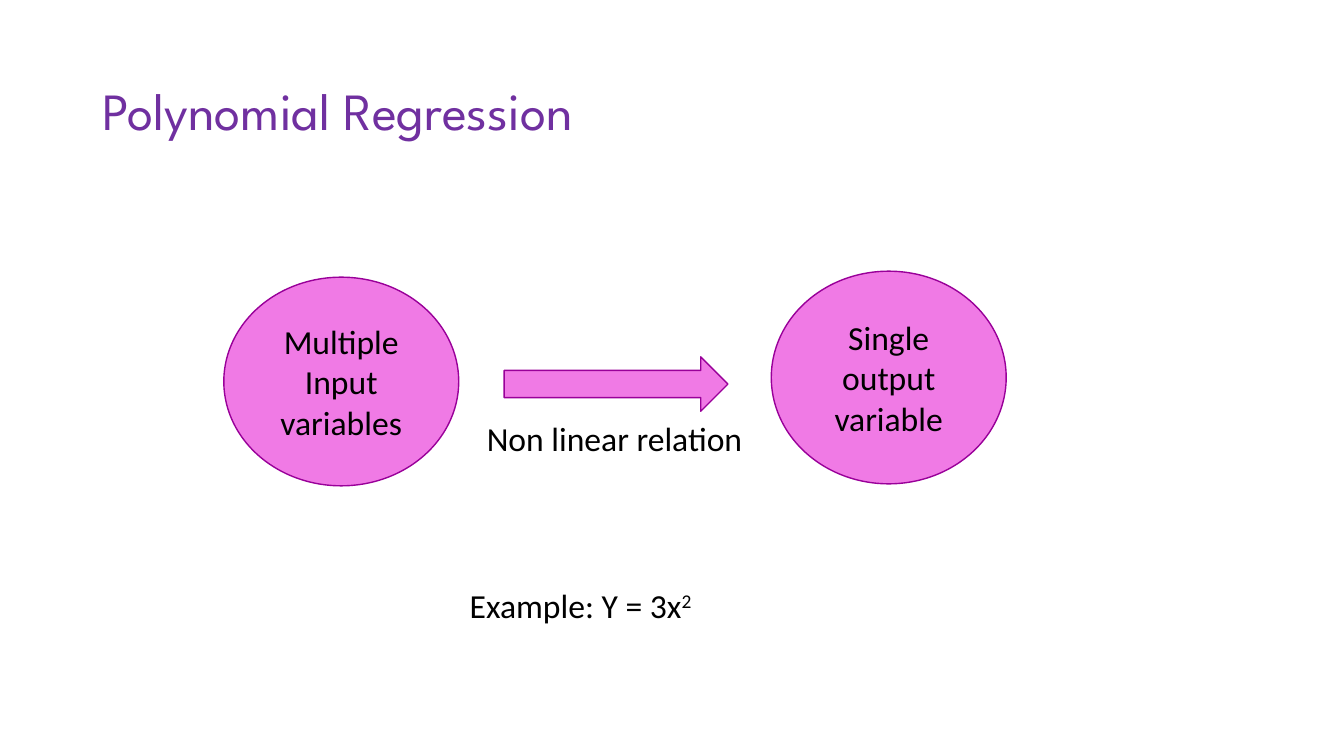
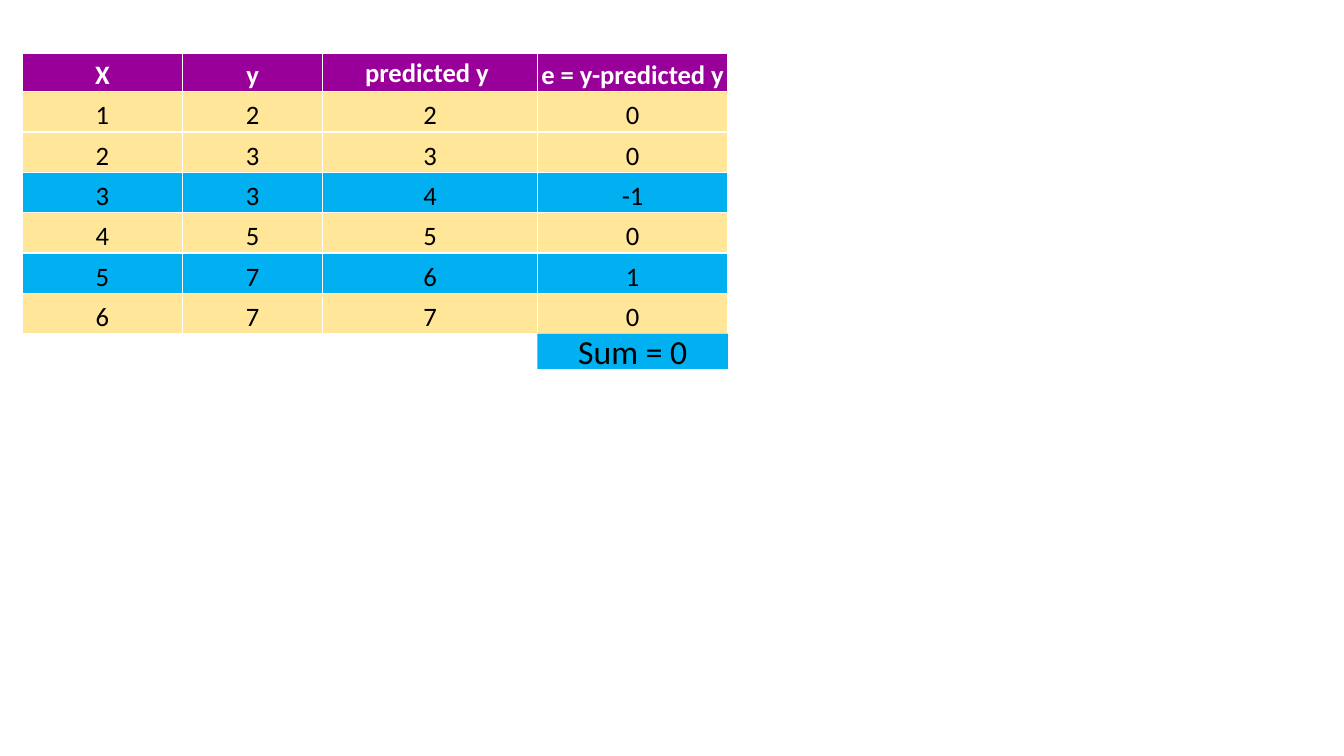
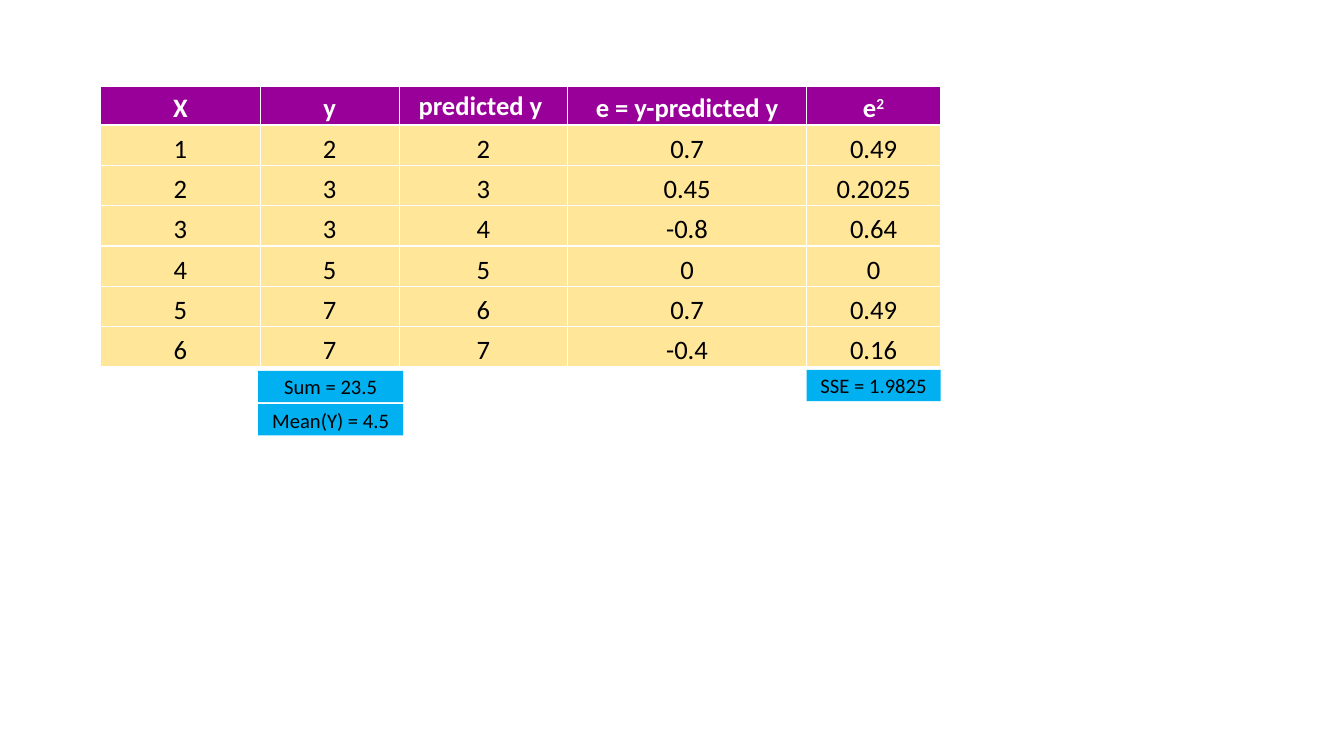
"""Build three slides on polynomial regression and its error tables."""
from lxml import etree
from pptx import Presentation
from pptx.dml.color import RGBColor
from pptx.enum.shapes import MSO_SHAPE
from pptx.enum.text import MSO_ANCHOR, PP_ALIGN
from pptx.oxml.ns import qn
from pptx.util import Pt

PX = 9144
SLIDE_SIZE = (1333, 750)

OVAL, ARROW, RECTANGLE = MSO_SHAPE.OVAL, MSO_SHAPE.RIGHT_ARROW, MSO_SHAPE.RECTANGLE
LEFT, CENTER = PP_ALIGN.LEFT, PP_ALIGN.CENTER
TOP, MIDDLE, BOTTOM = MSO_ANCHOR.TOP, MSO_ANCHOR.MIDDLE, MSO_ANCHOR.BOTTOM

BLACK = RGBColor(0x00, 0x00, 0x00)
WHITE = RGBColor(0xFF, 0xFF, 0xFF)
VIOLET = RGBColor(0x70, 0x30, 0xA0)
PURPLE = RGBColor(0x99, 0x00, 0x99)
PINK = RGBColor(0xF0, 0x7A, 0xE5)
CREAM = RGBColor(0xFF, 0xE6, 0x99)
BLUE = RGBColor(0x00, 0xB0, 0xF0)

TITLE = {"name": "League Spartan", "size": Pt(37.3), "color": VIOLET}
BODY = {"name": "Calibri", "size": Pt(24), "color": BLACK}
SMALL = {**BODY, "size": Pt(14.7)}
CELL = {**BODY, "size": Pt(19), "bold": False}
HEADER = {**CELL, "color": WHITE, "bold": True}

HEADER_HEIGHT, ROW_HEIGHT = 38, 40

DIAGRAM_TITLE = ("Polynomial Regression", (92, 40, 1150, 145))
DIAGRAM_SHAPES = [
    (OVAL, (222, 275, 233, 207), "Multiple Input variables"),
    (ARROW, (500, 354, 222, 54), ""),
    (OVAL, (765, 269, 233, 211), "Single output variable"),
]
DIAGRAM_NOTES = [
    ("Example: Y = 3x^2", (456, 575, 322, 50)),
    ("Non linear relation", (473, 410, 287, 50)),
]

ERROR_TABLES = [
    {
        "origin": (22, 53),
        "widths": [159, 139, 213, 189],
        "rows": [
            ["X", "y", "predicted y ", "e = y-predicted y"],
            ["1", "2", "2", "0"],
            ["2", "3", "3", "0"],
            ["3", "3", "4", "-1"],
            ["4", "5", "5", "0"],
            ["5", "7", "6", "1"],
            ["6", "7", "7", "0"],
        ],
        "highlights": (3, 5),
        "totals": [("Sum = 0", (533, 331, 189, 35), BODY)],
    },
    {
        "origin": (100, 86),
        "widths": [158, 138, 167, 237, 133],
        "rows": [
            ["X", "y", "predicted y ", "e = y-predicted y", "e^2"],
            ["1", "2", "2", "0.7", "0.49"],
            ["2", "3", "3", "0.45", "0.2025"],
            ["3", "3", "4", "-0.8", "0.64"],
            ["4", "5", "5", "0", "0"],
            ["5", "7", "6", "0.7", "0.49"],
            ["6", "7", "7", "-0.4", "0.16"],
        ],
        "highlights": (),
        "totals": [
            ("SSE = 1.9825", (800, 367, 133, 31), SMALL),
            ("Mean(Y) = 4.5", (256, 401, 144, 31), SMALL),
            ("Sum = 23.5", (256, 368, 144, 31), SMALL),
        ],
    },
]


def emu(lengths):
    return [length * PX for length in lengths]


def write(frame, text, style, align=LEFT):
    """Write one paragraph; a caret starts and ends a superscript."""
    para = frame.paragraphs[0]
    para.alignment = align
    for index, part in enumerate(text.split("^")):
        span = para.add_run()
        span.text = part
        for name, value in style.items():
            if name == "color":
                span.font.color.rgb = value
            else:
                setattr(span.font, name, value)
        if index % 2:
            span._r.get_or_add_rPr().set("baseline", "30000")
    return para


def add_text(page, text, place, style, anchor=TOP):
    frame = page.shapes.add_textbox(*emu(place)).text_frame
    frame.word_wrap = True
    frame.vertical_anchor = anchor
    return write(frame, text, style)


def add_box(page, kind, place, text, style, fill, line=None):
    box = page.shapes.add_shape(kind, *emu(place))
    box.shadow.inherit = False
    box.fill.solid()
    box.fill.fore_color.rgb = fill
    if line is None:
        box.line.fill.background()
    else:
        box.line.color.rgb = line
        box.line.width = Pt(1)
    if text:
        box.text_frame.word_wrap = True
        box.text_frame.vertical_anchor = MIDDLE
        write(box.text_frame, text, style, CENTER)


def add_borders(cell):
    properties = cell._tc.get_or_add_tcPr()
    for side in ("a:lnL", "a:lnR", "a:lnT", "a:lnB"):
        border = etree.SubElement(properties, qn(side), w=str(Pt(1)))
        fill = etree.SubElement(border, qn("a:solidFill"))
        etree.SubElement(fill, qn("a:srgbClr"), val=str(WHITE))


def add_error_table(page, origin, widths, rows, highlights):
    heights = [HEADER_HEIGHT] + [ROW_HEIGHT] * (len(rows) - 1)
    place = (*origin, sum(widths), sum(heights))
    table = page.shapes.add_table(len(rows), len(widths), *emu(place)).table
    table.first_row = table.horz_banding = False
    for column, width in zip(table.columns, emu(widths)):
        column.width = width
    for row_index, (row, height) in enumerate(zip(rows, emu(heights))):
        table.rows[row_index].height = height
        style = CELL if row_index else HEADER
        fill = CREAM if row_index else PURPLE
        if row_index in highlights:
            fill = BLUE
        for column_index, text in enumerate(row):
            cell = table.cell(row_index, column_index)
            cell.margin_left = cell.margin_right = cell.margin_top = PX
            cell.margin_bottom = 0
            cell.vertical_anchor = MIDDLE if text.startswith("predicted") else BOTTOM
            add_borders(cell)
            cell.fill.solid()
            cell.fill.fore_color.rgb = fill
            write(cell.text_frame, text, style, CENTER)


def build_diagram(page):
    add_text(page, *DIAGRAM_TITLE, TITLE, MIDDLE).line_spacing = 0.9
    for kind, place, text in DIAGRAM_SHAPES:
        add_box(page, kind, place, text, BODY, PINK, PURPLE)
    for text, place in DIAGRAM_NOTES:
        add_text(page, text, place, BODY)


def build_errors(page, origin, widths, rows, highlights, totals):
    add_error_table(page, origin, widths, rows, highlights)
    for text, place, style in totals:
        add_box(page, RECTANGLE, place, text, style, BLUE)


def main():
    deck = Presentation()
    deck.slide_width, deck.slide_height = emu(SLIDE_SIZE)
    blank = deck.slide_layouts[6]
    build_diagram(deck.slides.add_slide(blank))
    for content in ERROR_TABLES:
        build_errors(deck.slides.add_slide(blank), **content)
    deck.save("out.pptx")


if __name__ == "__main__":
    main()
